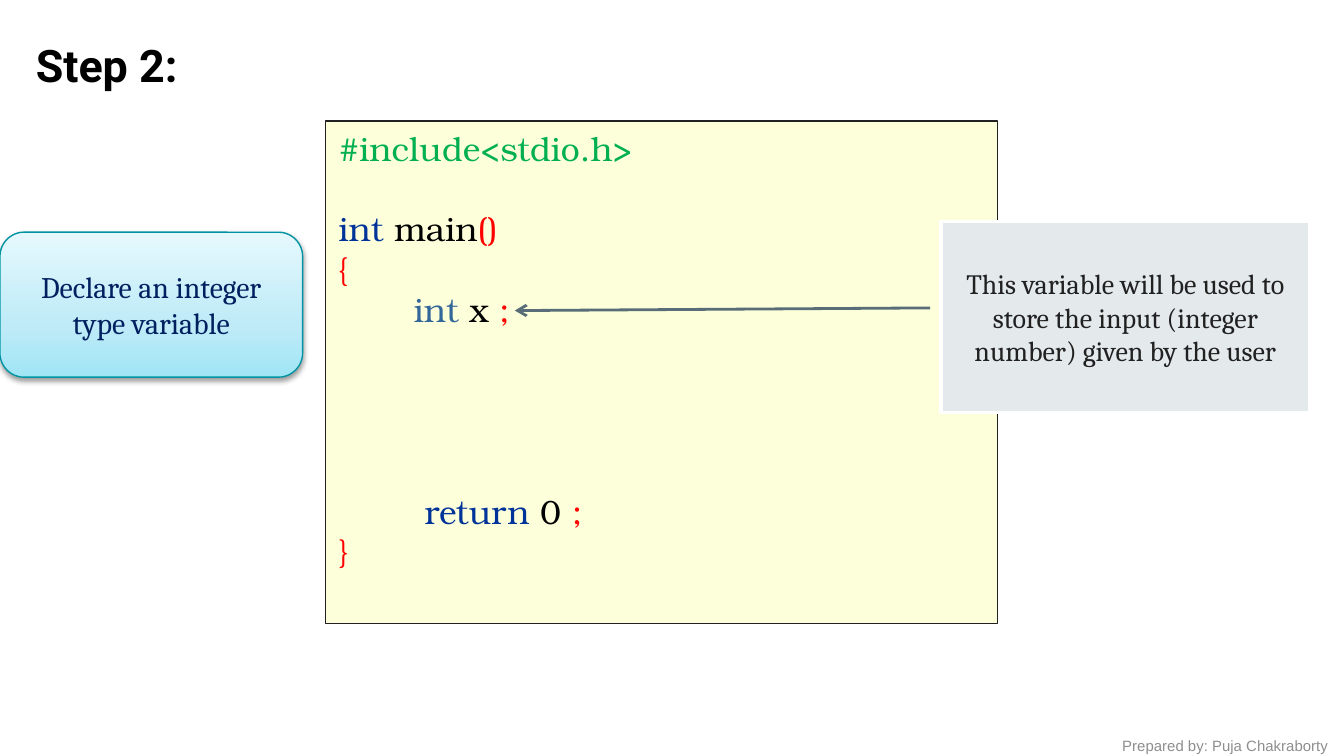
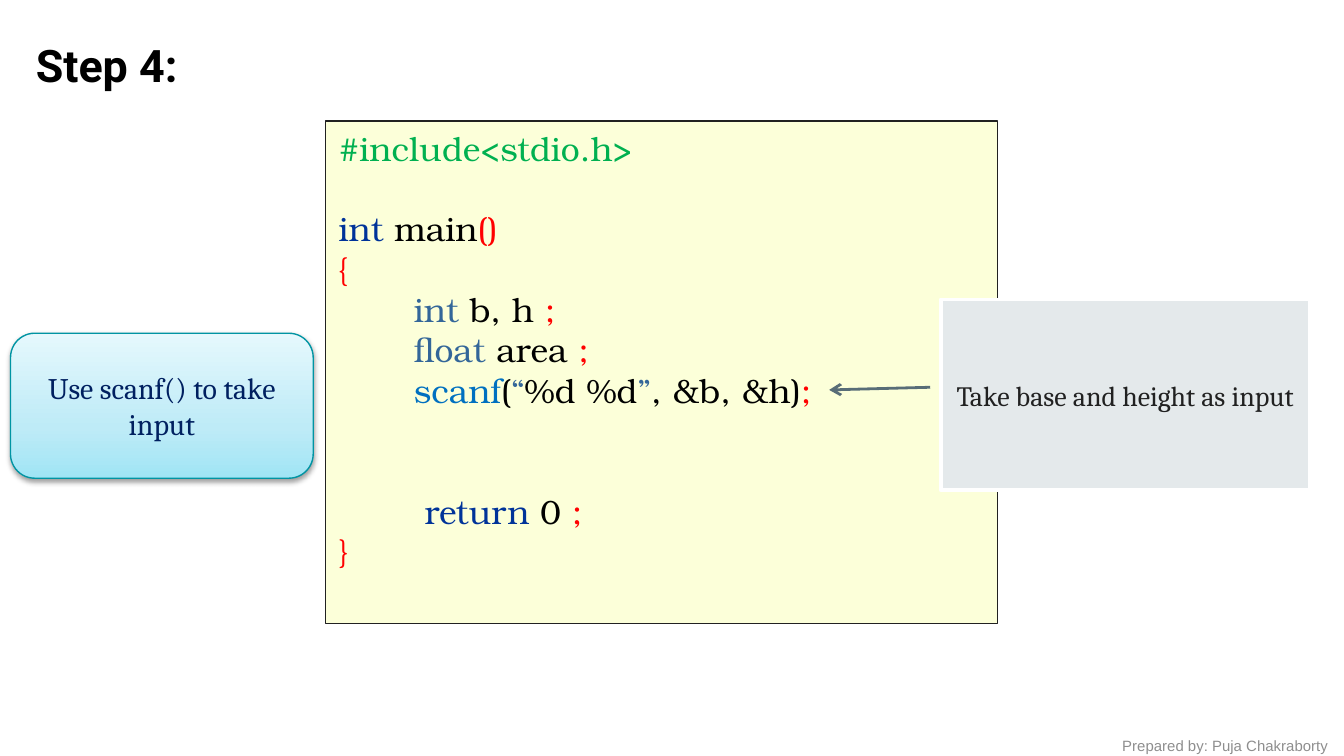
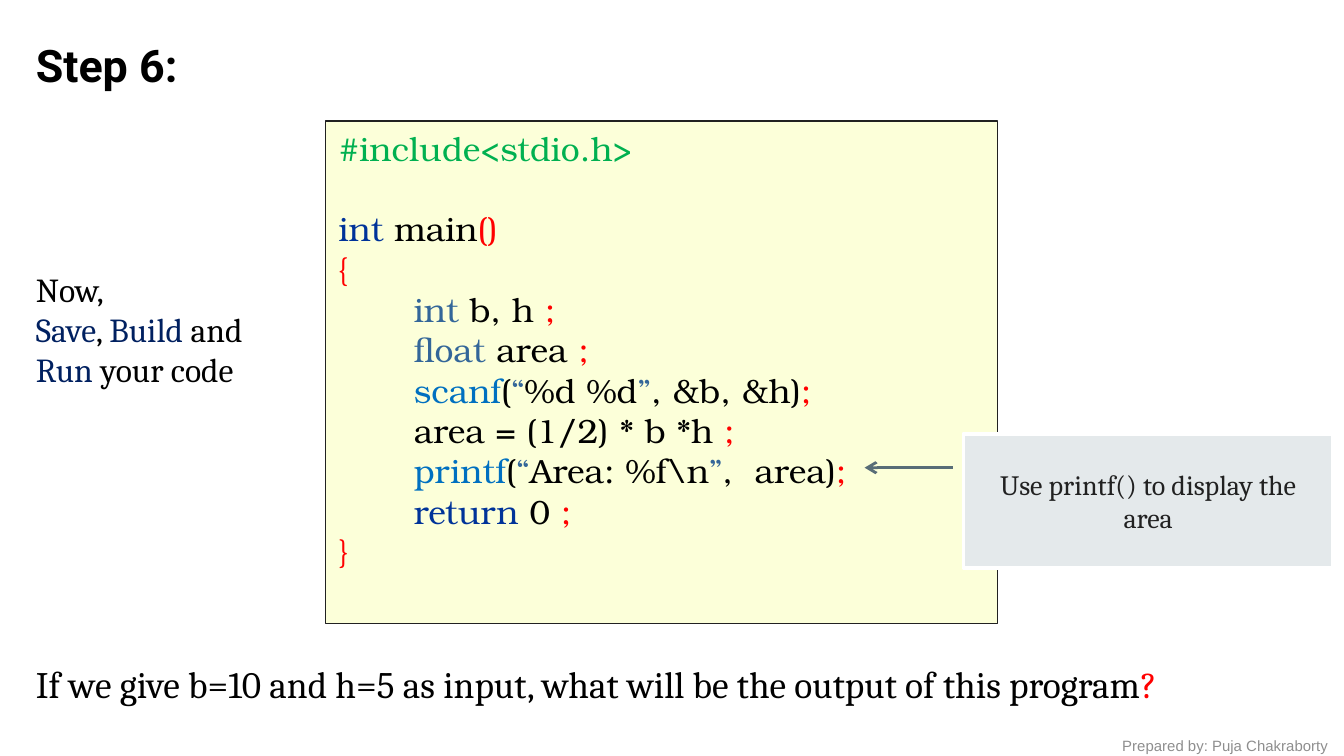
import pptx
import pptx.util
import pptx.dml.color
import pptx.enum.shapes
import pptx.enum.text
import pptx.oxml
import pptx.oxml.ns
from dataclasses import dataclass

Cm = pptx.util.Cm
Pt = pptx.util.Pt
SHAPES = pptx.enum.shapes.MSO_SHAPE
ANCHOR = pptx.enum.text.MSO_ANCHOR
ALIGN = pptx.enum.text.PP_ALIGN


@dataclass(frozen=True)
class Theme:
    # Colours
    black: str = "000000"
    white: str = "FFFFFF"
    ink: str = "212121"
    navy: str = "002060"
    grey: str = "8E8E8E"
    code_fill: str = "FCFFD9"
    include: str = "00B050"
    keyword: str = "003399"
    type_name: str = "336699"
    function: str = "0070C0"
    mark: str = "FF0000"
    bubble_line: str = "0094A3"
    bubble_stops: tuple = ((0, "A0E5F5"), (35, "BEEBF7"), (100, "E5F8FD"))
    note_fill: str = "E4E9EB"
    arrow: str = "586D77"
    # Fonts
    title_font: str = "Roboto"
    body_font: str = "Cambria"
    code_font: str = "TeX Gyre Bonum"
    footer_font: str = "Arial"
    # Sizes in points
    title_size: float = 24
    question_size: float = 20
    code_size: float = 18
    code_pitch: float = 21.6
    bubble_size: float = 16
    note_size: float = 15
    footer_size: float = 8


THEME = Theme()

# Boxes in centimetres: left, top, width, height
SLIDE_SIZE = (25.4, 14.29)
TITLE_BOX = (0.43, 0.58, 4.24, 1.27)
CODE_BOX = (6.15, 2.29, 12.7, 9.5)
FOOTER_BOX = (20.96, 13.79, 4.65, 0.61)

# Lines of code, each a list of (text, colour)
INDENT = " " * 7
END = (";", THEME.mark)


def plain(text):
    return (text, THEME.black)


def declaration(type_name, names):
    return [plain(INDENT), (type_name, THEME.type_name), plain(f" {names} "), END]


def call(function, pattern, arguments):
    return [plain(INDENT), (function, THEME.function), plain("("), ("“", THEME.type_name),
            plain(pattern), ("”", THEME.type_name), plain(f", {arguments})"), END]


def return_line(indent):
    return [plain(indent), ("return", THEME.keyword), plain(" 0 "), END]


DECLARE_SIDES = declaration("int", "b, h")
DECLARE_AREA = declaration("float", "area")
READ_SIDES = call("scanf", "%d %d", "&b, &h")
COMPUTE_AREA = [plain(INDENT + "area = (1/2) * b *h "), END]
PRINT_AREA = call("printf", "Area: %f\\n", " area")


def rgb(value):
    return pptx.dml.color.RGBColor.from_string(value)


def write(shape, paragraphs, *, font, size, color=THEME.black, bold=False,
          align=ALIGN.LEFT, anchor=ANCHOR.TOP, inset=None, gaps=None):
    """Fill a shape with paragraphs: strings or lists of (text, colour)."""
    frame = shape.text_frame
    frame.word_wrap = True
    frame.vertical_anchor = anchor
    if inset is not None:
        frame.margin_top = frame.margin_bottom = Cm(inset)
    for index, content in enumerate(paragraphs):
        paragraph = frame.paragraphs[0] if index == 0 else frame.add_paragraph()
        paragraph.alignment = align
        if gaps and index in gaps:
            paragraph.space_before = Pt(gaps[index])
        runs = [(content, color)] if isinstance(content, str) else content
        for text, run_color in runs:
            run = paragraph.add_run()
            run.text = text
            run.font.name = font
            run.font.size = Pt(size)
            run.font.bold = bold
            run.font.color.rgb = rgb(run_color)


def add_text(slide, box, paragraphs, **style):
    write(slide.shapes.add_textbox(*map(Cm, box)), paragraphs, **style)


def add_panel(slide, box, preset, line, line_width, fill=None):
    panel = slide.shapes.add_shape(preset, *map(Cm, box))
    panel.shadow.inherit = False
    panel.line.color.rgb = rgb(line)
    panel.line.width = Pt(line_width)
    if fill:
        panel.fill.solid()
        panel.fill.fore_color.rgb = rgb(fill)
    return panel


def add_code(slide, box, body, blank_lines=0, return_indent=INDENT):
    """Program listing; blank_lines is the room left above the return."""
    lines = [
        [("#include<stdio.h>", THEME.include)],
        [("int", THEME.keyword), plain(" main"), ("()", THEME.mark)],
        [("{", THEME.mark)],
        *body,
        return_line(return_indent),
        [("}", THEME.mark)],
    ]
    gaps = {1: THEME.code_pitch, len(lines) - 2: blank_lines * THEME.code_pitch}
    listing = add_panel(slide, box, SHAPES.RECTANGLE, THEME.ink, 0.75, THEME.code_fill)
    write(listing, lines, font=THEME.code_font, size=THEME.code_size, gaps=gaps)


def add_bubble(slide, left, top, text):
    """Glossy instruction beside the code, with a soft shadow."""
    bubble = add_panel(slide, (left, top, 5.72, 2.74), SHAPES.ROUNDED_RECTANGLE,
                       THEME.bubble_line, 0.75)
    stops = "".join(f'<a:gs pos="{place * 1000}"><a:srgbClr val="{color}"/></a:gs>'
                    for place, color in THEME.bubble_stops)
    namespace = pptx.oxml.ns.nsdecls("a")
    bubble.fill.gradient()
    gradient = bubble._element.spPr.find(pptx.oxml.ns.qn("a:gradFill"))
    for child in list(gradient):
        gradient.remove(child)
    gradient.append(pptx.oxml.parse_xml(f"<a:gsLst {namespace}>{stops}</a:gsLst>"))
    gradient.append(pptx.oxml.parse_xml(f'<a:lin {namespace} ang="16200000" scaled="0"/>'))
    effects = bubble._element.spPr.find(pptx.oxml.ns.qn("a:effectLst"))
    effects.append(pptx.oxml.parse_xml(
        f'<a:outerShdw {namespace} blurRad="{Pt(3.1)}" dist="{Pt(1.6)}" dir="5400000" '
        'rotWithShape="0"><a:srgbClr val="000000"><a:alpha val="38000"/></a:srgbClr>'
        "</a:outerShdw>"))
    write(bubble, [text], font=THEME.body_font, size=THEME.bubble_size, color=THEME.navy,
          align=ALIGN.CENTER, anchor=ANCHOR.MIDDLE)


def add_note(slide, box, text, drop, reach, dip=0.0):
    """Grey note whose arrow leaves its left side, drop below its top."""
    left, top = box[:2]
    start_x, start_y = left - 0.2, top + drop
    arrow = slide.shapes.add_connector(
        pptx.enum.shapes.MSO_CONNECTOR.STRAIGHT,
        Cm(start_x), Cm(start_y), Cm(start_x - reach), Cm(start_y + dip))
    arrow.line.color.rgb = rgb(THEME.arrow)
    arrow.line.width = Pt(1.5)
    namespace = pptx.oxml.ns.nsdecls("a")
    arrow.line._get_or_add_ln().append(
        pptx.oxml.parse_xml(f'<a:tailEnd {namespace} type="arrow"/>'))
    arrow._element.spPr.append(pptx.oxml.parse_xml(f"<a:effectLst {namespace}/>"))

    note = add_panel(slide, box, SHAPES.RECTANGLE, THEME.white, 2, THEME.note_fill)
    write(note, [text], font=THEME.body_font, size=THEME.note_size, color=THEME.ink,
          align=ALIGN.CENTER, anchor=ANCHOR.MIDDLE)


def add_step(deck, number, body, **code_options):
    """Slide with the parts every step shares: footer, code and title."""
    slide = deck.slides.add_slide(deck.slide_layouts[6])
    add_text(slide, FOOTER_BOX, ["Prepared by: Puja Chakraborty"],
             font=THEME.footer_font, size=THEME.footer_size, color=THEME.grey)
    add_code(slide, CODE_BOX, body, **code_options)
    add_text(slide, TITLE_BOX, [f"Step {number}:"],
             font=THEME.title_font, size=THEME.title_size, bold=True)
    return slide


def main():
    deck = pptx.Presentation()
    deck.slide_width, deck.slide_height = map(Cm, SLIDE_SIZE)

    # Step 2: declare the variable
    declare = add_step(deck, 2, [declaration("int", "x")],
                       blank_lines=4, return_indent=INDENT + " ")
    add_bubble(declare, 0, 4.39, "Declare an integer type variable")
    add_note(declare, (17.78, 4.19, 6.98, 3.61),
             "This variable will be used to store the input (integer number) given by the user",
             drop=1.63, reach=7.85, dip=0.05)

    # Step 4: read the input
    read = add_step(deck, 4, [DECLARE_SIDES, DECLARE_AREA, READ_SIDES],
                    blank_lines=2, return_indent=INDENT + " ")
    add_bubble(read, 0.2, 6.3, "Use scanf() to take input")
    add_note(read, (17.78, 5.66, 6.98, 3.61), "Take base and height as input",
             drop=1.66, reach=1.91, dip=0.05)

    # Step 6: display the result
    display = add_step(deck, 6, [DECLARE_SIDES, DECLARE_AREA, READ_SIDES,
                                 COMPUTE_AREA, PRINT_AREA])
    add_note(display, (18.21, 8.2, 6.98, 2.54), "Use printf() to display the area",
             drop=0.64, reach=1.67)
    add_text(display, (0.43, 5.03, 5.51, 2.41),
             ["Now,", [("Save", THEME.navy), plain(", "), ("Build", THEME.navy),
                       plain(" and "), ("Run", THEME.navy), plain(" your code")]],
             font=THEME.body_font, size=THEME.code_size, inset=0.05)
    add_text(display, (0.43, 12.45, 23.93, 0.97),
             [[plain("If we give b=10 and h=5 as input, what will be the output of this program"),
               ("?", THEME.mark)]],
             font=THEME.body_font, size=THEME.question_size, inset=0.05)

    deck.save("out.pptx")


if __name__ == "__main__":
    main()
